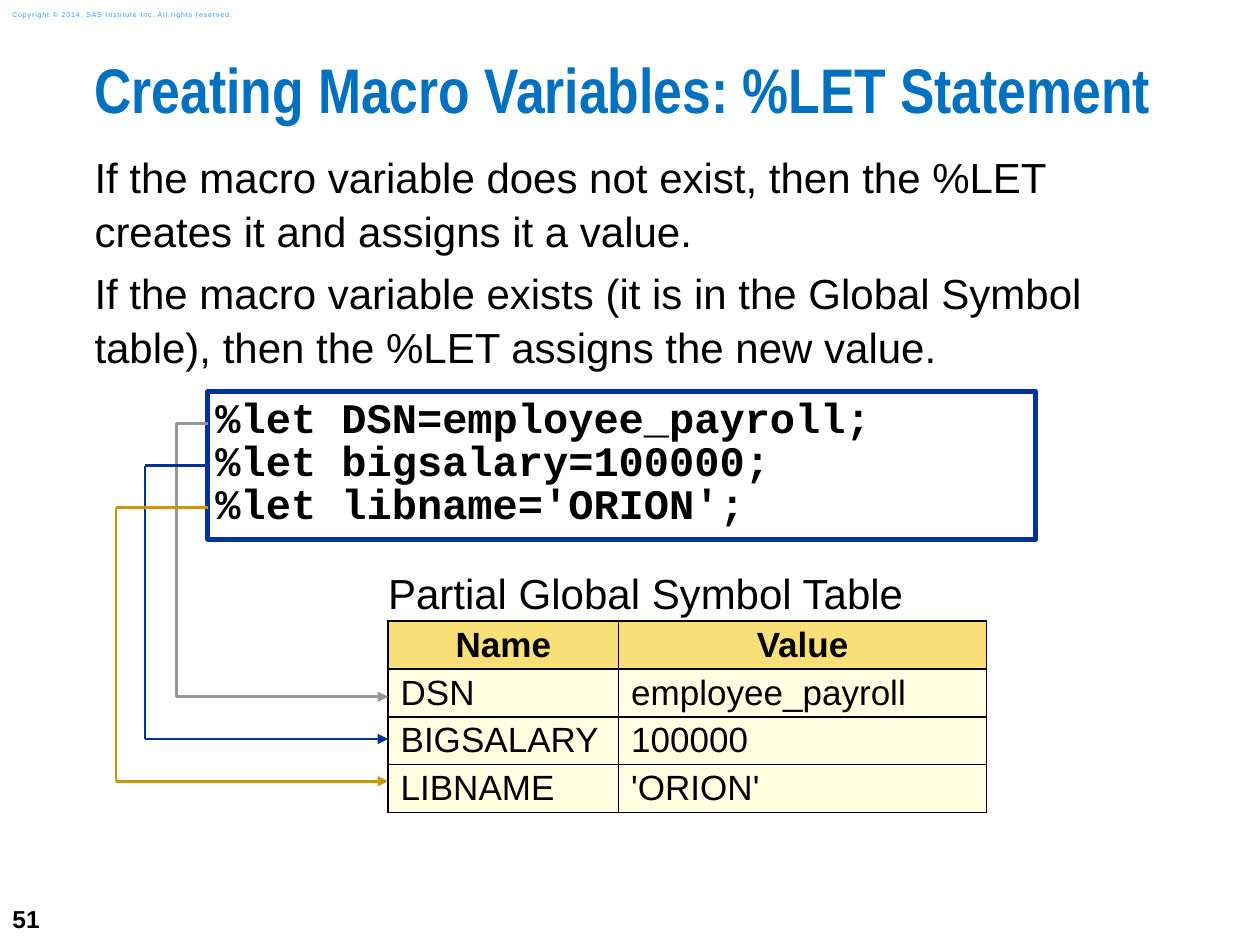
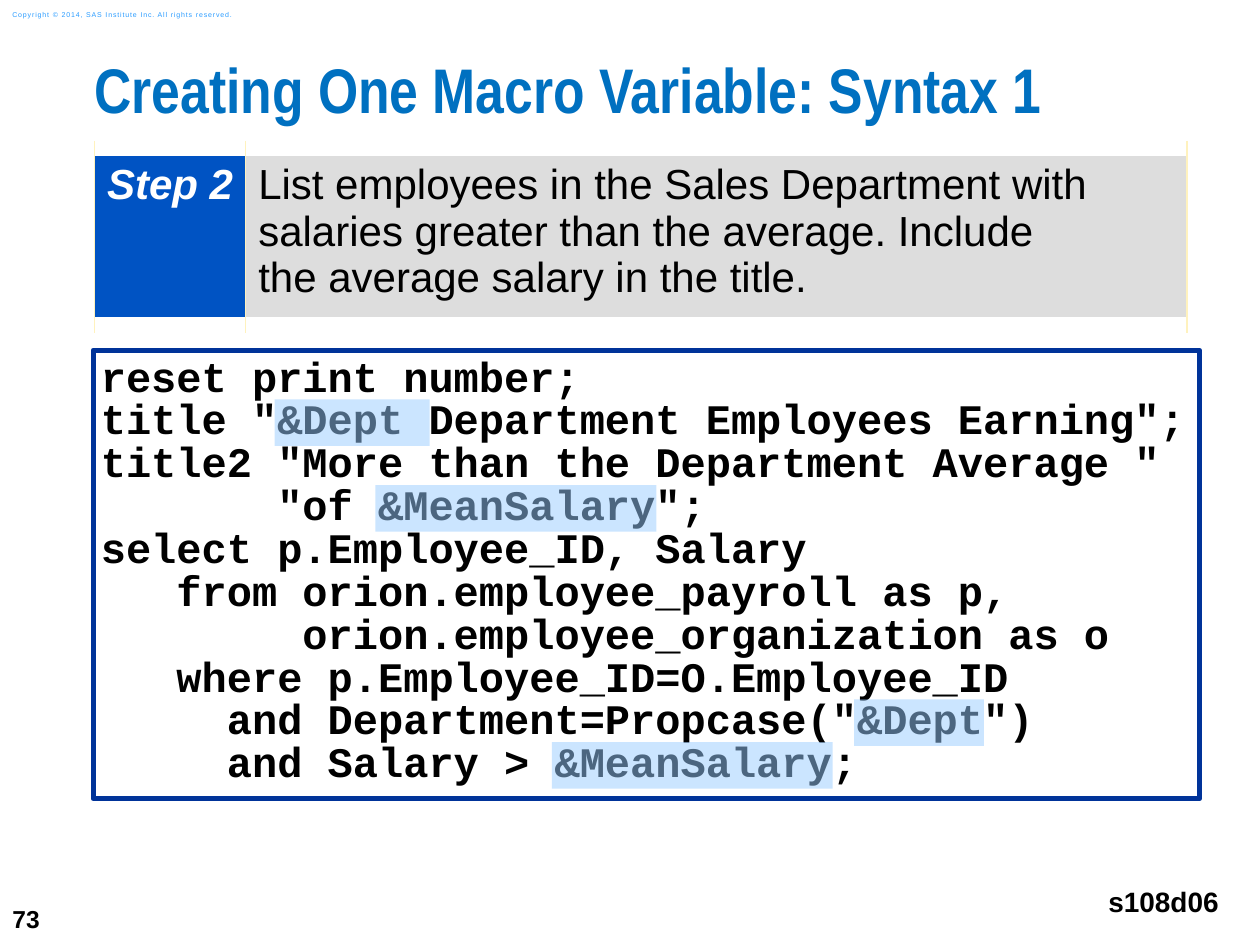
from dataclasses import dataclass

from lxml import etree
from pptx import Presentation, util as u
from pptx.dml.color import RGBColor
from pptx.enum import shapes, text
from pptx.oxml import ns


@dataclass(frozen=True)
class Type:
    size: float
    color: str = "000000"
    font: str = "Arial"
    bold: bool = False
    slant: bool = False
    lead: float = 1.0
    after: float = 0
    align: str = "LEFT"


class Theme:
    title = Type(36, "0070C0", "Arial Narrow", bold=True, lead=0.83)
    body = Type(24, lead=1.08, after=4.1)
    code = Type(24, font="Courier New", bold=True, lead=0.85)
    plain = Type(24)
    step = Type(24, "FFFFFF", bold=True, slant=True)
    cell = Type(20)
    head = Type(20, bold=True, align="CENTER")
    page = Type(14, bold=True)
    file = Type(16, bold=True, align="RIGHT")
    legal = Type(4, "2A9CFF")
    black, white, navy = "000000", "FFFFFF", "003399"
    grey, gold = "969696", "CC9700"
    amber, cream = "F9DF78", "FFFFE1"
    blue, silver, straw = "0053C3", "DDDDDD", "FFF2BE"
    glow = "99CCFF"


# The slide is a grid of 10 columns by 7.5 rows with square cells.
COLS, ROWS = 10, 7.5
UNIT = u.Inches(1)
LEFT = 0.75
COPY = "Copyright © 2014, SAS Institute Inc. All rights reserved."


def span(*vals):
    return [u.Emu(round(v * UNIT)) for v in vals]


def rgb(code):
    return RGBColor.from_string(code)


def tag(parent, name, **attrs):
    return etree.SubElement(parent, ns.qn(name), **attrs)


# Text

def write(frame, lines, kind):
    for i, line in enumerate(lines):
        para = frame.paragraphs[0] if i == 0 else frame.add_paragraph()
        para.text = line
        para.alignment = getattr(text.PP_ALIGN, kind.align)
        para.line_spacing = kind.lead
        para.space_after = u.Pt(kind.after)
        font = para.font
        font.name, font.size = kind.font, u.Pt(kind.size)
        font.bold, font.italic = kind.bold, kind.slant
        font.color.rgb = rgb(kind.color)


def pad(item, x, y):
    item.margin_left = item.margin_right = u.Inches(x)
    item.margin_top = item.margin_bottom = u.Inches(y)


def label(slide, box, lines, kind, inset=(0, 0), middle=False, wrap=True):
    frame = slide.shapes.add_textbox(*span(*box)).text_frame
    frame.word_wrap = wrap
    pad(frame, *inset)
    if middle:
        frame.vertical_anchor = text.MSO_ANCHOR.MIDDLE
    write(frame, lines, kind)
    return frame


# Shapes and lines

def block(slide, box, fill):
    shape = slide.shapes.add_shape(shapes.MSO_SHAPE.RECTANGLE, *span(*box))
    shape.shadow.inherit = False
    shape.fill.solid()
    shape.fill.fore_color.rgb = rgb(fill)
    shape.line.fill.background()
    return shape


def listing(slide, box, lines):
    shape = block(slide, box, Theme.white)
    shape.line.color.rgb = rgb(Theme.navy)
    shape.line.width = u.Pt(3)
    frame = shape.text_frame
    frame.word_wrap = True
    frame.vertical_anchor = text.MSO_ANCHOR.TOP
    pad(frame, 0.06, 0.06)
    write(frame, lines, Theme.code)
    return shape


def glow(slide, box):
    shape = block(slide, box, Theme.glow)
    tint = shape.fill._xPr.find(".//" + ns.qn("a:srgbClr"))
    tag(tint, "a:alpha", val="50000")


def stroke(slide, start, end, color, arrow=False):
    line = slide.shapes.add_connector(
        shapes.MSO_CONNECTOR.STRAIGHT, *span(*start, *end))
    line.line.color.rgb = rgb(color)
    line.line.width = u.Pt(1.5)
    if arrow:
        tag(line.line._get_or_add_ln(), "a:tailEnd", type="triangle")
    tag(line._element.spPr, "a:effectLst")
    return line


def route(slide, x, y, lane, drop, end, color):
    """Go left from the code to a lane, down it, then right to the table."""
    first = stroke(slide, (x, y), (lane, y), color)
    stroke(slide, (lane, y), (lane, y + drop), color)
    stroke(slide, (lane, y + drop), (end, y + drop), color, arrow=True)
    return first


# Tables

def grid(slide, left, top, cols, rows):
    box = span(left, top, sum(cols), sum(rows))
    table = slide.shapes.add_table(len(rows), len(cols), *box).table
    table.first_row = table.horz_banding = False
    for col, wide in zip(table.columns, cols):
        col.width = u.Inches(wide)
    for row, high in zip(table.rows, rows):
        row.height = u.Inches(high)
    return table


def edge(cell, **sides):
    """Draw each side given as (color, points); hide the others."""
    props = cell._tc.get_or_add_tcPr()
    for side in "LRTB":
        color, wide = sides.get(side, (None, 1))
        line = tag(props, "a:ln" + side, w=str(u.Pt(wide)))
        if color:
            tag(tag(line, "a:solidFill"), "a:srgbClr", val=color)
        else:
            tag(line, "a:noFill")


def fill(cell, words, kind, color, inset, middle=True):
    cell.fill.solid()
    cell.fill.fore_color.rgb = rgb(color)
    pad(cell, *inset)
    if middle:
        cell.vertical_anchor = text.MSO_ANCHOR.MIDDLE
    write(cell.text_frame, [words], kind)


def symbols(slide, left, top, name, data):
    table = grid(slide, left, top, [1.83, 2.92], [0.42] + [0.38] * len(data))
    rule = (Theme.black, 1)
    for cell in table.rows[0].cells:
        edge(cell, B=rule)
    table.cell(0, 0).merge(table.cell(0, 1))
    fill(table.cell(0, 0), name, Theme.plain, Theme.white, (0, 0))
    for r, row in enumerate(data, 1):
        kind, color = ((Theme.head, Theme.amber) if r == 1
                       else (Theme.cell, Theme.cream))
        for c, words in enumerate(row):
            cell = table.cell(r, c)
            edge(cell, L=rule, R=rule, T=rule, B=rule)
            fill(cell, words, kind, color, (0.1, 0))


def banner(slide, top, step, words):
    table = grid(slide, LEFT, top, [1.2, 7.47], [1.39])
    side, band = (Theme.straw, 1), (Theme.white, 10)
    parts = [(step, Theme.step, Theme.blue), (words, Theme.plain, Theme.silver)]
    for cell, part in zip(table.rows[0].cells, parts):
        edge(cell, L=side, R=side, T=band, B=band)
        fill(cell, *part, (0.1, 0.1), middle=False)


# Slides

def page(deck, title, number):
    slide = deck.slides.add_slide(deck.slide_layouts[6])
    label(slide, (0, 7.08, 0.58, 0.42), [number], Theme.page, (0.1, 0.05), True)
    legal = label(slide, (0, 0.03, 2.11, 0.17), [COPY], Theme.legal,
                  (0.1, 0.05), True)
    legal.paragraphs[0].runs[0].font._element.set("spc", "50")
    label(slide, (LEFT, 0.5, COLS - LEFT, 0.74), [title], Theme.title)
    return slide


def assign(deck):
    slide = page(deck, "Creating Macro Variables: %LET Statement", "51")
    label(slide, (LEFT, 1.17, 8.58, 1.33), [
        "If the macro variable does not exist, then the %LET creates it "
        "and assigns it a value.",
        "If the macro variable exists (it is in the Global Symbol table), "
        "then the %LET assigns the new value.",
    ], Theme.body)
    edge_x, table_x = 1.65, 3.08
    code = listing(slide, (edge_x, 3.11, 6.57, 1.17), [
        "%let DSN=employee_payroll;",
        "%let bigsalary=100000;",
        "%let libname='ORION';",
    ])
    symbols(slide, table_x, 4.51, "Partial Global Symbol Table", [
        ("Name", "Value"),
        ("DSN", "employee_payroll"),
        ("BIGSALARY", "100000"),
        ("LIBNAME", "'ORION'"),
    ])
    # One route from each statement to its row
    lanes = [(1.4, Theme.grey), (1.15, Theme.navy), (0.92, Theme.gold)]
    firsts = [route(slide, edge_x, 3.36 + 0.335 * i, lane, 2.17, table_x, color)
              for i, (lane, color) in enumerate(lanes)]
    firsts[1].begin_connect(code, 1)


def query(deck):
    slide = page(deck, "Creating One Macro Variable: Syntax 1", "73")
    label(slide, (8.69, 6.92, 1.08, 0.47), ["s108d06"], Theme.file,
          (0.1, 0.1), wrap=False)
    lines = [
        'reset print number;',
        'title "&Dept Department Employees Earning";',
        'title2 "More than the Department Average "',
        '       "of &MeanSalary";',
        'select p.Employee_ID, Salary',
        '   from orion.employee_payroll as p,',
        '        orion.employee_organization as o',
        '   where p.Employee_ID=O.Employee_ID',
        '     and Department=Propcase("&Dept")',
        '     and Salary > &MeanSalary;',
    ]
    listing(slide, (0.74, 2.78, 8.78, 3.56), lines)
    # Highlights follow the character grid of the code
    wide, pitch = 0.2, 0.34
    marks = [(1, "&Dept "), (3, "&MeanSalary"), (8, "&Dept"), (9, "&MeanSalary")]
    for row, word in marks:
        glow(slide, (0.78 + wide * lines[row].find(word), 2.83 + pitch * row,
                     wide * len(word) + 0.03, 0.37))
    banner(slide, 1.18, "Step 2",
           "List employees in the Sales Department with salaries greater than "
           "the average. Include \vthe average salary in the title.")


def main():
    deck = Presentation()
    deck.slide_width, deck.slide_height = span(COLS, ROWS)
    assign(deck)
    query(deck)
    deck.save("out.pptx")


if __name__ == "__main__":
    main()
